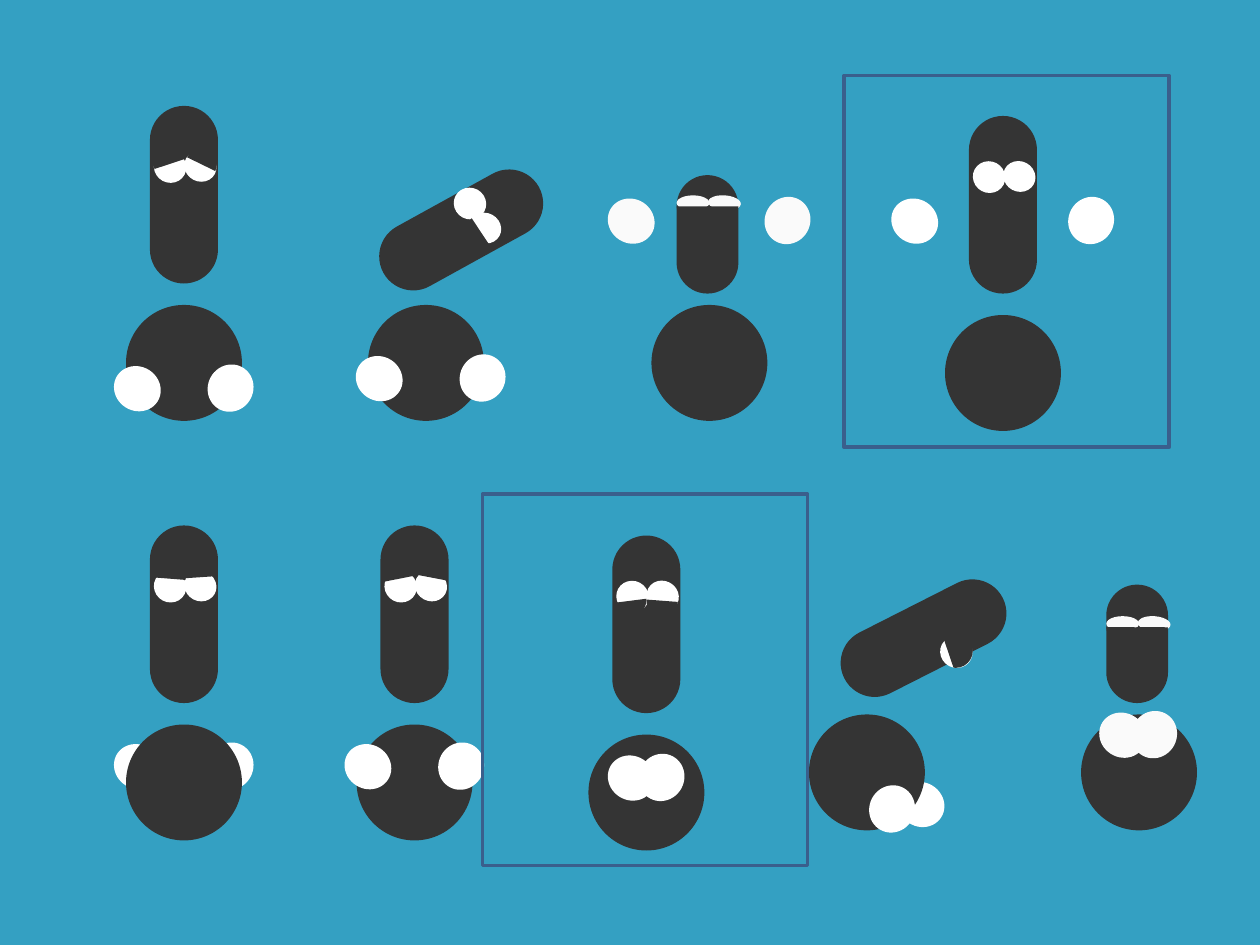
from dataclasses import dataclass
from typing import Optional

from pptx import Presentation
from pptx.dml.color import RGBColor
from pptx.enum.shapes import MSO_SHAPE as Geo
from pptx.util import Inches, Pt


@dataclass(frozen=True)
class Theme:
    """Colours and line width of the slide."""
    back: str = "34A0C2"
    dark: str = "343434"
    white: str = "FFFFFF"
    pale: str = "FAFAFA"
    frame: str = "3A5F8C"
    line: float = 2


@dataclass(frozen=True)
class Kind:
    """Preset, size and usual turn of one body part."""
    geo: Geo
    wide: float
    high: float
    turn: float = 0
    adj: tuple = ()
    light: bool = False


@dataclass(frozen=True)
class Limb:
    """A body part, placed from the belly's top left corner."""
    kind: str
    x: float
    y: float
    turn: Optional[float] = None


@dataclass(frozen=True)
class Pose:
    """A figure: belly corner, limbs from back to front, light tone."""
    x: float
    y: float
    limbs: tuple
    tone: str


THEME = Theme()
KINDS = {
    "head": Kind(Geo.ROUNDED_RECTANGLE, 0.54, 1.41, adj=(0.5,)),
    "short": Kind(Geo.ROUNDED_RECTANGLE, 0.49, 0.94, adj=(0.5,)),
    "belly": Kind(Geo.OVAL, 0.92, 0.92),
    "eye_l": Kind(Geo.OVAL, 0.26, 0.25, 208.2, light=True),
    "eye_r": Kind(Geo.OVAL, 0.26, 0.24, 208.2, light=True),
    "slit": Kind(Geo.OVAL, 0.26, 0.12, 180, light=True),
    "hand_l": Kind(Geo.OVAL, 0.38, 0.35, 32.7, light=True),
    "hand_r": Kind(Geo.OVAL, 0.36, 0.38, 208.2, light=True),
    "lid": Kind(Geo.CHORD, 0.25, 0.25, 316.7, (27, 133.458)),
    "wide_lid": Kind(Geo.CHORD, 0.27, 0.27, 180, (27, 166.592)),
}
BELLY = Limb("belly", 0, 0)
STAND = (Limb("head", 0.19, -1.58), BELLY,
         Limb("eye_l", 0.22, -1.22), Limb("eye_r", 0.46, -1.22))


def hands(left: float, right: float, y: float) -> tuple:
    """Return both hands, the left one a touch lower."""
    return Limb("hand_r", right, y), Limb("hand_l", left, y + 0.02)


def lids(left: tuple, right: tuple) -> tuple:
    """Return two eyelids, each given as x, y and turn."""
    return Limb("lid", *left), Limb("lid", *right)


def squat(eye: float) -> tuple:
    """Return a short figure with narrow eyes at the given height."""
    return (Limb("short", 0.2, -1.03), BELLY,
            Limb("slit", 0.2, eye), Limb("slit", 0.45, eye, 184.1),
            Limb("lid", 0.2, eye - 0.04), Limb("lid", 0.44, eye - 0.04))


SIDES = hands(-0.1, 0.65, 0.14)
LEAN = (Limb("head", 0.47, -1.3, 61.1), BELLY,
        Limb("eye_l", 0.68, -0.93), Limb("eye_r", 0.8, -0.73),
        Limb("lid", 0.77, -0.71, 12.8))
BOW = (Limb("hand_l", 0.7, 0.54), Limb("head", 0.64, -1.31, 63.1), BELLY,
       Limb("eye_l", 1.04, -0.62), Limb("wide_lid", 1.03, -0.64),
       Limb("hand_r", 0.48, 0.56))
POSES = (
    Pose(1, 2.42, STAND + lids((0.22, -1.24, 118), (0.47, -1.24, 162.4))
         + hands(-0.1, 0.65, 0.47), THEME.white),
    Pose(2.92, 2.42, LEAN + hands(-0.1, 0.73, 0.39), THEME.white),
    Pose(5.17, 2.42, hands(-0.35, 0.9, -0.86) + squat(-0.87), THEME.pale),
    Pose(7.5, 2.5, hands(-0.43, 0.98, -0.94) + STAND, THEME.white),
    Pose(1, 5.75, SIDES + STAND
         + lids((0.22, -1.28, 140.8), (0.45, -1.29, 132.4)), THEME.white),
    Pose(2.83, 5.75, STAND
         + lids((0.22, -1.28, 125), (0.46, -1.29, 147.1)) + SIDES, THEME.white),
    Pose(4.67, 5.83, STAND + lids((0.21, -1.19, 309), (0.46, -1.19, 320.6))
         + hands(0.15, 0.4, 0.15), THEME.white),
    Pose(8.58, 5.67, squat(-0.78) + hands(0.14, 0.4, -0.03), THEME.pale),
    Pose(6.42, 5.67, BOW, THEME.white),
)
FRAMES = ((6.7, 0.6), (3.83, 3.92))


def add(slide, geo: Geo, box: tuple, fill: Optional[str] = None,
        turn: float = 0, adj: tuple = ()) -> None:
    """Add one preset shape, filled without a line or framed without a fill."""
    shape = slide.shapes.add_shape(geo, *map(Inches, box))
    shape.shadow.inherit = False
    shape.rotation = turn
    for i, value in enumerate(adj):
        shape.adjustments[i] = value
    if fill:
        shape.fill.solid()
        shape.fill.fore_color.rgb = RGBColor.from_string(fill)
        shape.line.fill.background()
    else:
        shape.fill.background()
        shape.line.color.rgb = RGBColor.from_string(THEME.frame)
        shape.line.width = Pt(THEME.line)


def draw(slide, pose: Pose) -> None:
    """Draw all limbs of one figure."""
    for limb in pose.limbs:
        kind = KINDS[limb.kind]
        box = (pose.x + limb.x, pose.y + limb.y, kind.wide, kind.high)
        turn = kind.turn if limb.turn is None else limb.turn
        add(slide, kind.geo, box, pose.tone if kind.light else THEME.dark,
            turn, kind.adj)


def main() -> None:
    """Build and save the slide."""
    deck = Presentation()
    deck.slide_width, deck.slide_height = Inches(10), Inches(7.5)
    slide = deck.slides.add_slide(deck.slide_layouts[6])
    slide.background.fill.solid()
    slide.background.fill.fore_color.rgb = RGBColor.from_string(THEME.back)
    for pose in POSES:
        draw(slide, pose)
    for x, y in FRAMES:
        add(slide, Geo.RECTANGLE, (x, y, 2.58, 2.95))
    deck.save("out.pptx")


main()
